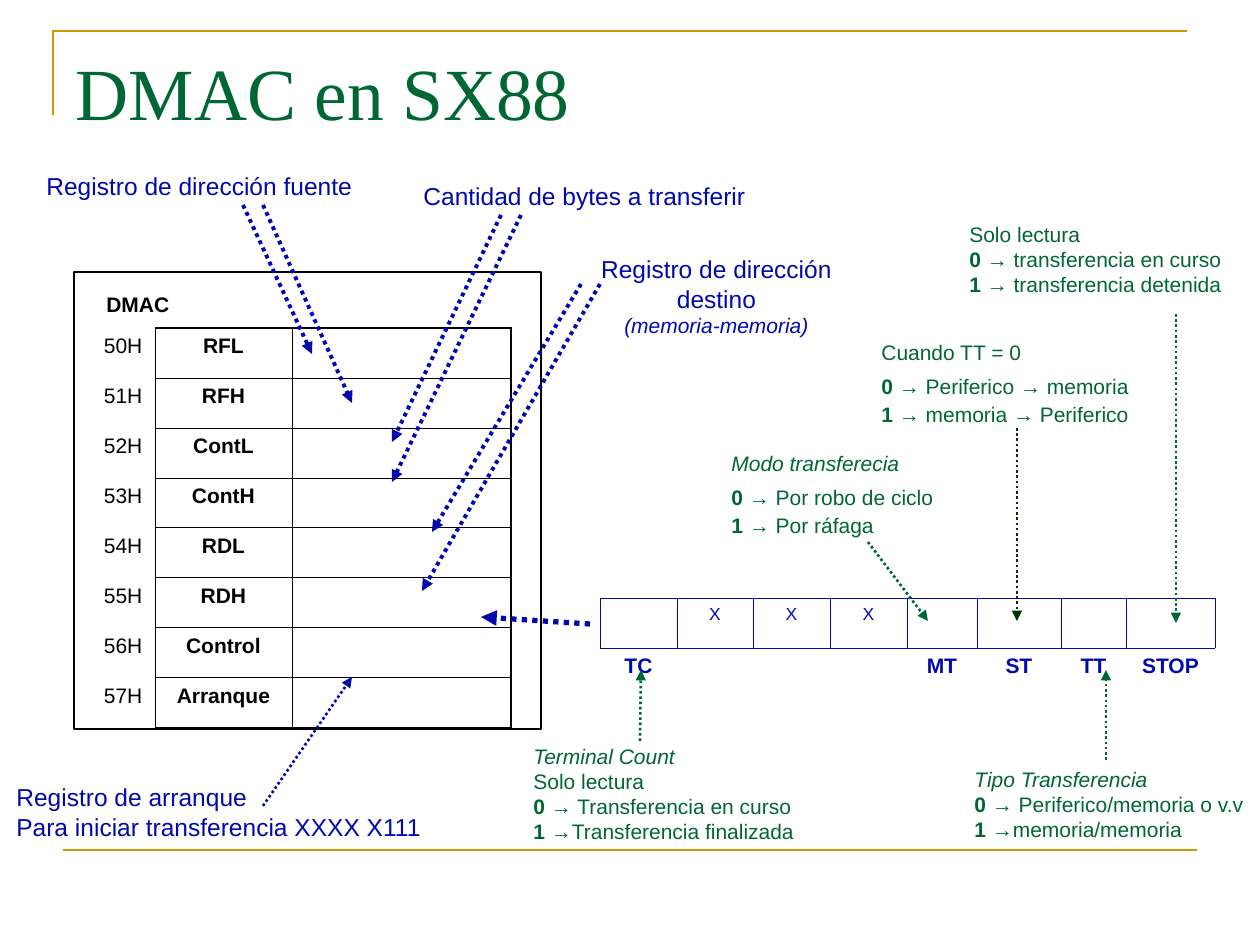
from dataclasses import dataclass

from lxml.etree import SubElement
from pptx import Presentation
from pptx.dml.color import RGBColor
from pptx.enum.dml import MSO_LINE_DASH_STYLE as Dash
from pptx.enum.shapes import MSO_CONNECTOR as Connector, MSO_SHAPE as Shape
from pptx.enum.text import MSO_ANCHOR as Anchor, MSO_AUTO_SIZE as AutoSize, PP_ALIGN as Align
from pptx.oxml.ns import qn
from pptx.util import Emu, Pt


@dataclass(frozen=True)
class Theme:
    gold: str = "CC9900"
    green: str = "006633"
    dark_green: str = "003300"
    blue: str = "0109AB"
    black: str = "000000"
    heading_font: str = "Times New Roman"
    body_font: str = "Arial"
    heading: int = 42
    label: int = 14
    body: int = 12
    small: int = 10
    thin: float = 0.45
    thick: float = 1.08


THEME = Theme()


def px(length):
    return Emu(round(length * 914400 / 126))


class Board:
    def __init__(self, slide, theme):
        self.slide = slide
        self.shapes = slide.shapes
        self.theme = theme

    def style(self, run, size, color, bold=False, italic=False, font=None):
        run.font.name = font or self.theme.body_font
        run.font.size = Pt(size)
        run.font.bold = bold
        run.font.italic = italic
        run.font.color.rgb = RGBColor.from_string(color)

    def title(self, wording, x, y, w, h):
        heading = self.shapes.title
        heading.left, heading.top, heading.width, heading.height = map(px, (x, y, w, h))
        heading.text_frame.text = wording
        heading.text_frame.vertical_anchor = Anchor.MIDDLE
        paragraph = heading.text_frame.paragraphs[0]
        paragraph.alignment = Align.LEFT
        self.style(paragraph.runs[0], self.theme.heading, self.theme.green,
                   font=self.theme.heading_font)

    def outline(self, shape, color, width):
        shape.shadow.inherit = False
        shape.fill.background()
        shape.line.color.rgb = RGBColor.from_string(color)
        shape.line.width = Pt(width)

    def frame(self, x, y, w, h):
        box = self.shapes.add_shape(Shape.RECTANGLE, px(x), px(y), px(w), px(h))
        self.outline(box, self.theme.black, 1)

    def bracket(self, start, *corners):
        builder = self.shapes.build_freeform(px(start[0]), px(start[1]), scale=1.0)
        builder.add_line_segments([(px(x), px(y)) for x, y in corners], close=False)
        self.outline(builder.convert_to_shape(), self.theme.gold, 1.5)

    def line(self, start, end, color, width):
        connector = self.shapes.add_connector(Connector.STRAIGHT, *map(px, (*start, *end)))
        connector.line.color.rgb = RGBColor.from_string(color)
        connector.line.width = Pt(width)
        SubElement(connector._element.spPr, qn("a:effectLst"))
        return connector

    def arrow(self, start, end, color, width=1.5):
        connector = self.line(start, end, color, width)
        connector.line.dash_style = Dash.ROUND_DOT
        SubElement(connector.line._get_or_add_ln(), qn("a:tailEnd"), type="triangle")

    def text(self, lines, x, y, w, h, size, color, bold=False, wrap=False, align=Align.LEFT):
        frame = self.shapes.add_textbox(px(x), px(y), px(w), px(h)).text_frame
        frame.word_wrap = wrap
        frame.auto_size = AutoSize.SHAPE_TO_FIT_TEXT
        frame.text = "\n".join(lines)
        for paragraph in frame.paragraphs:
            paragraph.alignment = align
            self.style(paragraph.runs[0], size, color, bold)
        return frame

    def note(self, lines, x, y, w, h, italic=False, wrap=False, gaps=()):
        frame = self.text(lines, x, y, w, h, self.theme.body, self.theme.green, wrap=wrap)
        frame.paragraphs[0].runs[0].font.italic = italic
        for paragraph in frame.paragraphs:
            bit, _, meaning = paragraph.text.partition(" ")
            if bit in ("0", "1"):
                paragraph.text = bit + " "
                paragraph.add_run().text = meaning
                for run, bold in zip(paragraph.runs, (True, False)):
                    self.style(run, self.theme.body, self.theme.green, bold)
        for paragraph, gap in zip(frame.paragraphs[1:], gaps):
            paragraph.space_before = Pt(gap)

    def grid(self, x, y, widths, heights):
        table = self.shapes.add_table(len(heights), len(widths), px(x), px(y),
                                      px(sum(widths)), px(sum(heights))).table
        table.first_row = table.horz_banding = False
        for column, width in zip(table.columns, widths):
            column.width = px(width)
        for row, height in zip(table.rows, heights):
            row.height = px(height)
        return table

    def cell(self, cell, wording, size, color, borders, bold=False, align=Align.CENTER):
        cell.margin_left = cell.margin_right = Emu(91440)
        cell.margin_top = cell.margin_bottom = Emu(45720)
        properties = cell._tc.get_or_add_tcPr()
        for side in "LRTB":
            width = borders.get(side)
            border = SubElement(properties, qn("a:ln" + side), w=str(Pt(width or 0)))
            if width:
                paint = SubElement(border, qn("a:solidFill"))
                SubElement(paint, qn("a:srgbClr"), val=color)
            else:
                SubElement(border, qn("a:noFill"))
        cell.fill.background()
        cell.text_frame.text = wording
        paragraph = cell.text_frame.paragraphs[0]
        paragraph.alignment = align
        paragraph.space_before = Pt(size / 4)
        paragraph.font.size = Pt(size)
        for run in paragraph.runs:
            self.style(run, size, color, bold)


def draw_registers(board):
    theme = board.theme
    registers = ["RFL", "RFH", "ContL", "ContH", "RDL", "RDH", "Control", "Arranque"]
    last = len(registers) - 1
    table = board.grid(74, 328, [81, 137, 219], [50] * len(registers))
    for row, register in enumerate(registers):
        top = theme.thick if row == 0 else theme.thin
        bottom = theme.thick if row == last else theme.thin
        inner = {"L": theme.thin, "R": theme.thin, "T": top, "B": bottom}
        board.cell(table.cell(row, 0), f"{50 + row}H", theme.body, theme.black,
                   {"R": theme.thin}, align=Align.RIGHT)
        board.cell(table.cell(row, 1), register, theme.body, theme.black, inner, bold=True)
        board.cell(table.cell(row, 2), "", theme.body, theme.black, {**inner, "R": theme.thick})


def draw_control_bits(board):
    theme = board.theme
    values = ["", "X", "X", "X", "", "", "", ""]
    names = ["TC", "", "", "", "MT", "ST", "TT", "STOP"]
    table = board.grid(600, 598, [77, 76, 77, 77, 70, 84, 65, 89], [50, 38])
    for column, (value, name) in enumerate(zip(values, names)):
        board.cell(table.cell(0, column), value, theme.small, theme.blue,
                   dict.fromkeys("LRTB", theme.thin))
        board.cell(table.cell(1, column), name, theme.body, theme.blue,
                   {"T": theme.thin}, bold=True)


def draw_register_labels(board):
    theme = board.theme
    style = theme.label, theme.blue
    board.text(["Registro de dirección fuente"], 34, 165, 331, 43, *style)
    board.text(["Cantidad de bytes a transferir"], 411, 175, 348, 43, *style)
    target = board.text(["Registro de dirección destino", "(memoria-memoria)"],
                        546, 248, 341, 68, *style, align=Align.CENTER)
    board.style(target.paragraphs[1].runs[0], theme.body, theme.blue, italic=True)
    board.text(["Registro de arranque", "Para iniciar transferencia XXXX X111"],
               4, 776, 440, 72, *style)
    for start, end in [((243, 205), (312, 354)), ((263, 205), (352, 403)),
                       ((501, 215), (392, 442)), ((521, 215), (392, 482)),
                       ((581, 284), (432, 532)), ((600, 284), (422, 591))]:
        board.arrow(start, end, theme.blue, 2.25)
    board.arrow((263, 806), (352, 677), theme.blue)
    board.arrow((590, 624), (481, 617), theme.blue, 3)


def draw_bit_notes(board):
    theme = board.theme
    board.note(["Solo lectura", "0 → transferencia en curso", "1 → transferencia detenida"],
               957, 215, 277, 88)
    board.note(["Tipo Transferencia", "0 → Periferico/memoria o v.v", "1 →memoria/memoria"],
               962, 760, 298, 88, italic=True, wrap=True)
    board.note(["Cuando TT = 0", "0 → Periferico → memoria", "1 → memoria → Periferico"],
               869, 333, 281, 100, gaps=(5.5, 1.3))
    board.note(["Modo transferecia", "0 → Por robo de ciclo", "1 → Por ráfaga"],
               719, 444, 236, 100, italic=True, gaps=(5.5, 1.3))
    board.note(["Terminal Count", "Solo lectura", "0 → Transferencia en curso",
                "1 →Transferencia finalizada"], 521, 737, 297, 113, italic=True, wrap=True)
    for start, end in [((1176, 314), (1176, 623)), ((1106, 760), (1106, 670)),
                       ((868, 542), (928, 621)), ((640, 741), (641, 670))]:
        board.arrow(start, end, theme.green)
    board.arrow((1017, 428), (1017, 621), theme.dark_green)


def main():
    deck = Presentation()
    deck.slide_width, deck.slide_height = px(1260), px(945)
    board = Board(deck.slides.add_slide(deck.slide_layouts[5]), THEME)
    board.bracket((53, 115), (53, 31), (1187, 31))
    board.line((63, 850), (1197, 850), THEME.gold, 1.5)
    board.title("DMAC en SX88", 63, 38, 1134, 107)
    board.frame(74, 272, 467, 457)
    board.text(["DMAC"], 94, 285, 88, 38, THEME.body, THEME.black, bold=True)
    draw_registers(board)
    draw_control_bits(board)
    draw_register_labels(board)
    draw_bit_notes(board)
    deck.save("out.pptx")


if __name__ == "__main__":
    main()
